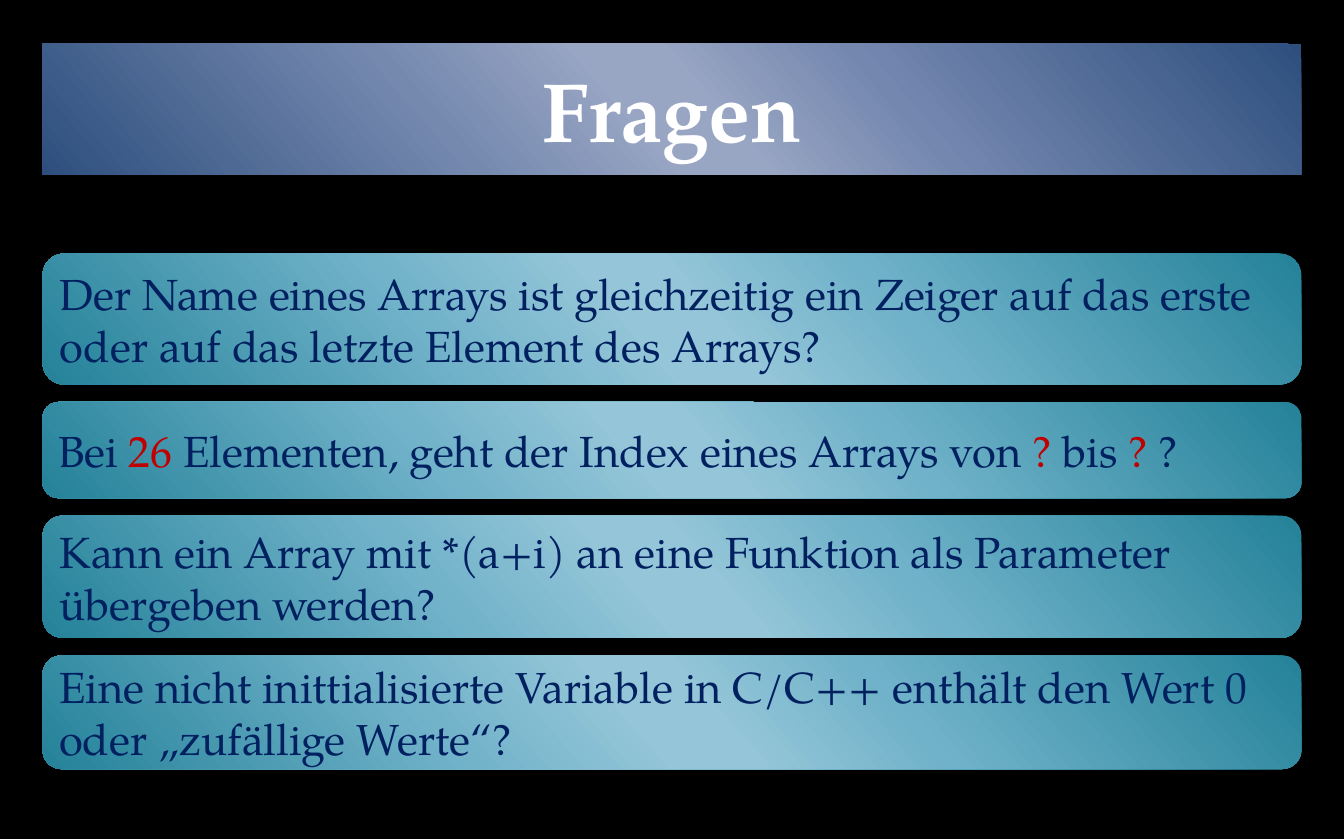
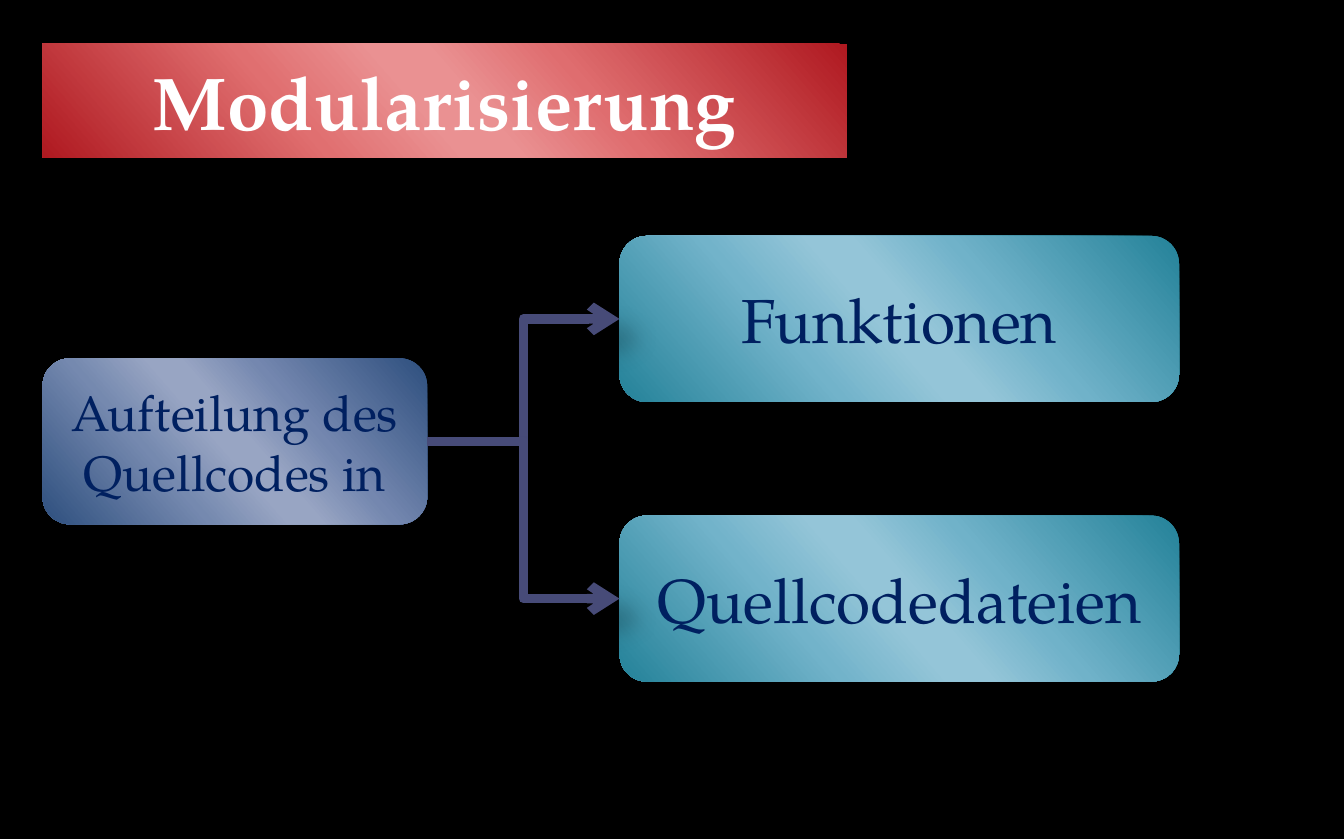
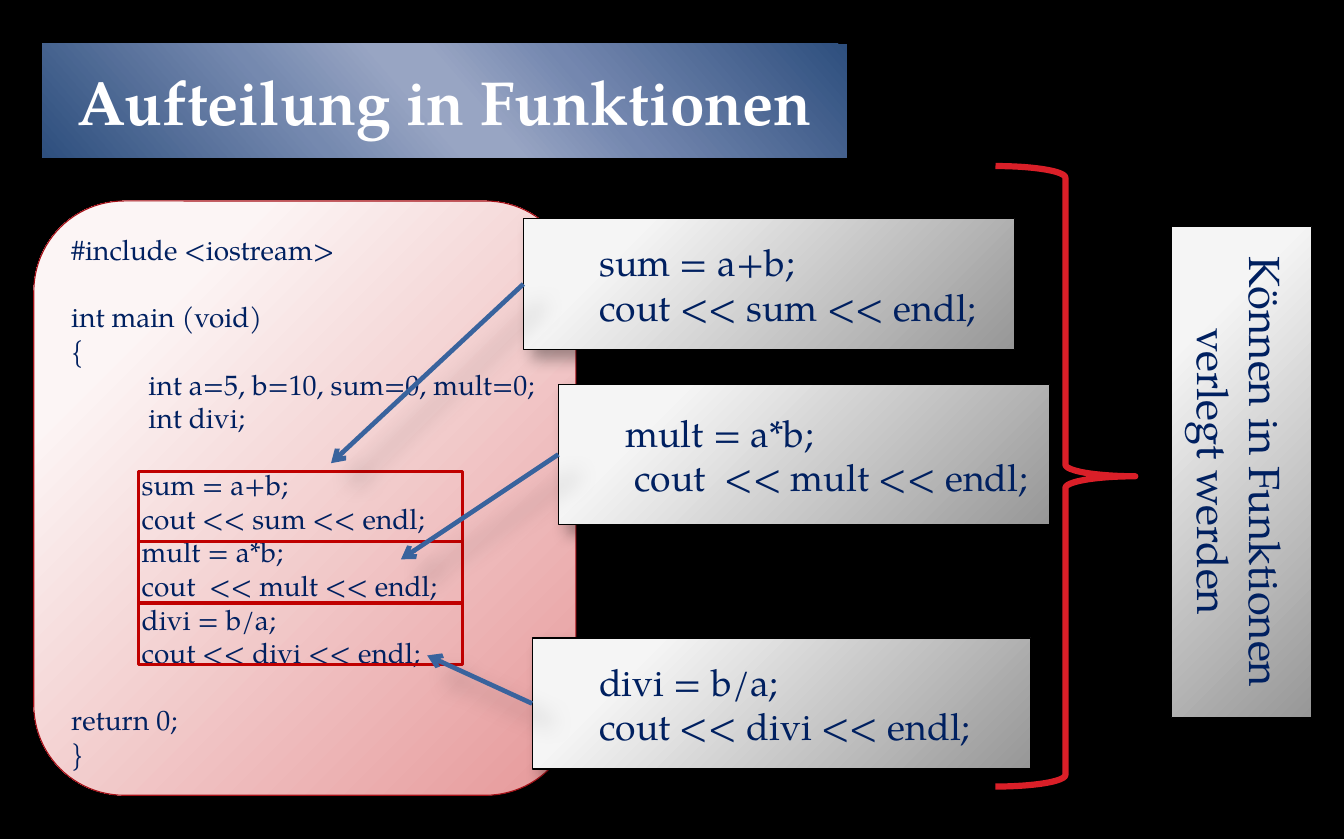
import dataclasses
import typing

import lxml.etree
import pptx
import pptx.dml.color
import pptx.enum.shapes
import pptx.enum.text
import pptx.oxml.ns
import pptx.util

qn = pptx.oxml.ns.qn
SHAPE = pptx.enum.shapes.MSO_SHAPE
CONNECTOR = pptx.enum.shapes.MSO_CONNECTOR
ANCHOR = pptx.enum.text.MSO_ANCHOR
ALIGN = pptx.enum.text.PP_ALIGN

WIDTH, HEIGHT, MARGIN = 12.01, 7.5, 0.38
ROWS = 96
CELL = HEIGHT / ROWS
LEFT_SITE, RIGHT_SITE = 1, 3


@dataclasses.dataclass(frozen=True)
class Gradient:
    stops: tuple[tuple[int, str], ...]
    angle: typing.Optional[int] = None


@dataclasses.dataclass(frozen=True)
class Shadow:
    opacity: int
    blur: float
    distance: float
    direction: int = 45


def glossy(edge: str, rise: str, shine: str, fall: str) -> Gradient:
    return Gradient(((0, edge), (33, rise), (47, shine), (53, shine), (68, fall), (100, edge)), 139)


def glow(light: str, dark: str) -> Gradient:
    return Gradient(((20, light), (100, dark)))


@dataclasses.dataclass(frozen=True)
class Theme:
    font: str = "TeX Gyre Pagella"
    backdrop: str = "000000"
    heading: str = "FFFFFF"
    ink: str = "002060"
    accent: str = "C00000"
    brace: str = "DA1F28"
    code_edge: str = "A51017"
    callout_edge: str = "000000"
    branch: str = "474B78"
    pointer: str = "39639D"
    blue: Gradient = glossy("2E4F7E", "7487AF", "98A5C3", "7589AF")
    teal: Gradient = glossy("248299", "70B2C9", "94C5D8", "72B3CA")
    red: Gradient = glossy("AF1920", "DF6D6F", "EA9192", "E06F70")
    rose: Gradient = glow("FCF5F5", "E69899")
    silver: Gradient = glow("F5F5F5", "979797")
    deep: Shadow = Shadow(26, 15, 18)
    near: Shadow = Shadow(35, 10.2, 8)
    code: int = 18
    callout: int = 24
    body: int = 28
    root: int = 32
    large: int = 40
    title: int = 48
    display: int = 54


THEME = Theme()


@dataclasses.dataclass(frozen=True)
class Area:
    col: float
    row: float
    cols: float
    rows: float

    def box(self) -> tuple[int, int, int, int]:
        return across(self.col), down(self.row), cells(self.cols), cells(self.rows)


@dataclasses.dataclass(frozen=True)
class Line:
    phrases: tuple[str, ...]
    indent: float = 0
    gap: float = 0


@dataclasses.dataclass(frozen=True)
class Panel:
    area: Area
    lines: tuple[Line, ...]
    size: int
    fill: Gradient
    shadow: Shadow = THEME.deep
    kind: typing.Any = SHAPE.ROUNDED_RECTANGLE
    edge: typing.Optional[str] = None
    align: typing.Any = ALIGN.LEFT
    anchor: typing.Any = ANCHOR.MIDDLE
    rotation: int = 0


@dataclasses.dataclass(frozen=True)
class Callout:
    area: Area
    lines: tuple[Line, ...]
    target: tuple[float, float]


def cells(count: float) -> int:
    return pptx.util.Inches(count * CELL)


def across(col: float) -> int:
    return pptx.util.Inches(MARGIN + col * CELL)


def down(row: float) -> int:
    return cells(row)


def rgb(value: str) -> pptx.dml.color.RGBColor:
    return pptx.dml.color.RGBColor.from_string(value)


def node(parent: typing.Any, tag: str, **attributes: typing.Any) -> typing.Any:
    return lxml.etree.SubElement(parent, qn(f"a:{tag}"), {k: str(v) for k, v in attributes.items()})


def paint(shape: typing.Any, gradient: Gradient) -> None:
    shape.fill.gradient()
    grad = shape._element.spPr.find(qn("a:gradFill"))
    for child in list(grad):
        grad.remove(child)
    stops = node(grad, "gsLst")
    for position, color in gradient.stops:
        node(node(stops, "gs", pos=position * 1000), "srgbClr", val=color)
    if gradient.angle is not None:
        node(grad, "lin", ang=gradient.angle * 60000, scaled=0)
    else:
        node(node(grad, "path", path="circle"), "fillToRect", l=-15000, t=-15000, r=115000, b=115000)


def outline(shape: typing.Any, color: typing.Optional[str], width: float) -> None:
    if color is None:
        shape.line.fill.background()
    else:
        shape.line.color.rgb = rgb(color)
        shape.line.width = pptx.util.Pt(width)


def cast(shape: typing.Any, shadow: Shadow) -> None:
    outer = node(node(shape._element.spPr, "effectLst"), "outerShdw",
                 blurRad=pptx.util.Pt(shadow.blur), dist=pptx.util.Pt(shadow.distance),
                 dir=shadow.direction * 60000, algn="tl", rotWithShape=0)
    node(node(outer, "srgbClr", val=THEME.backdrop), "alpha", val=shadow.opacity * 1000)


def style(run: typing.Any, size: int, color: str, bold: bool = False) -> None:
    run.font.name = THEME.font
    run.font.size = pptx.util.Pt(size)
    run.font.bold = bold
    run.font.color.rgb = rgb(color)


def write(shape: typing.Any, panel: Panel) -> None:
    frame = shape.text_frame
    frame.word_wrap = True
    frame.vertical_anchor = panel.anchor
    frame.text = "\n".join(line.phrases[0] for line in panel.lines)
    for paragraph, line in zip(frame.paragraphs, panel.lines):
        paragraph.alignment = panel.align
        paragraph.space_before = pptx.util.Pt(line.gap * panel.size * 1.2)
        properties = paragraph._p.get_or_add_pPr()
        properties.set("marL", str(pptx.util.Inches(line.indent)))
        properties.set("indent", "0")
        for phrase in line.phrases[1:]:
            paragraph.add_run().text = phrase
        for index, run in enumerate(paragraph.runs):
            style(run, panel.size, THEME.accent if index % 2 else THEME.ink)


def add_panel(slide: typing.Any, panel: Panel) -> typing.Any:
    shape = slide.shapes.add_shape(panel.kind, *panel.area.box())
    shape.rotation = panel.rotation
    paint(shape, panel.fill)
    outline(shape, panel.edge, 0.75)
    cast(shape, panel.shadow)
    write(shape, panel)
    return shape


def add_outline(slide: typing.Any, kind: typing.Any, area: Area, color: str, width: float) -> typing.Any:
    shape = slide.shapes.add_shape(kind, *area.box())
    shape.fill.background()
    outline(shape, color, width)
    return shape


def add_arrow(slide: typing.Any, kind: typing.Any, source: typing.Any, site: int,
              color: str, width: float, end: tuple[int, int]) -> typing.Any:
    arrow = slide.shapes.add_connector(kind, 0, 0, *end)
    arrow.begin_connect(source, site)
    outline(arrow, color, width)
    node(arrow.line._get_or_add_ln(), "tailEnd", type="arrow")
    cast(arrow, THEME.deep)
    return arrow


def add_titled_slide(deck: typing.Any, text: str, size: int, area: Area, fill: Gradient) -> typing.Any:
    slide = deck.slides.add_slide(deck.slide_layouts[5])
    title = slide.shapes.title
    title.left, title.top, title.width, title.height = area.box()
    node(node(title._element.spPr, "prstGeom", prst="roundRect"), "avLst")
    paint(title, fill)
    cast(title, THEME.deep)
    frame = title.text_frame
    frame.text = text
    frame.word_wrap = True
    frame.auto_size = pptx.enum.text.MSO_AUTO_SIZE.NONE
    frame.vertical_anchor = ANCHOR.MIDDLE
    frame.paragraphs[0].alignment = ALIGN.CENTER
    style(frame.paragraphs[0].runs[0], size, THEME.heading, True)
    return slide


WIDE_TITLE = Area(0, 5, 144, 15)
SHORT_TITLE = Area(0, 5, 92, 13)


def build_questions(deck: typing.Any) -> None:
    slide = add_titled_slide(deck, "Fragen", THEME.display, WIDE_TITLE, THEME.blue)
    questions = (
        (15, ("Der Name eines Arrays ist gleichzeitig ein Zeiger auf das erste oder auf das letzte "
              "Element des Arrays?",)),
        (11, ("Bei ", "26", " Elementen, geht der Index eines Arrays von ", "?", " bis ", "?", " ?")),
        (14, ("Kann ein Array mit *(a+i) an eine Funktion als Parameter übergeben werden?",)),
        (13, ("Eine nicht inittialisierte Variable in C/C++ enthält den Wert 0 oder "
              "„zufällige Werte“?",)),
    )
    row, gap = 29, 2
    for rows, phrases in questions:
        add_panel(slide, Panel(Area(0, row, 144, rows), (Line(phrases),), THEME.body, THEME.teal))
        row += rows + gap


def build_modules(deck: typing.Any) -> None:
    slide = add_titled_slide(deck, "Modularisierung", THEME.title, SHORT_TITLE, THEME.red)
    source = add_panel(slide, Panel(Area(0, 41, 44, 19), (Line(("Aufteilung des Quellcodes in",)),),
                                    THEME.root, THEME.blue, align=ALIGN.CENTER))
    for row, text in ((27, "Funktionen"), (59, "Quellcodedateien")):
        area = Area(66, row, 64, 19)
        division = add_panel(slide, Panel(area, (Line((text,)),), THEME.large, THEME.teal,
                                          align=ALIGN.CENTER))
        branch = add_arrow(slide, CONNECTOR.ELBOW, source, RIGHT_SITE, THEME.branch, 6,
                           (across(area.col), down(area.row + area.rows / 2)))
        branch.end_connect(division, LEFT_SITE)


def build_functions(deck: typing.Any) -> None:
    slide = add_titled_slide(deck, "Aufteilung in Funktionen", THEME.large, SHORT_TITLE, THEME.blue)
    declared, computed = 0.69, 0.63
    program = (
        Line(("#include <iostream>",)),
        Line(("int main (void)",), gap=1),
        Line(("{",)),
        Line(("int a=5, b=10, sum=0, mult=0;",), declared),
        Line(("int divi;",), declared),
        Line(("sum = a+b;",), computed, 1),
        Line(("cout << sum << endl;",), computed),
        Line(("mult = a*b;",), computed),
        Line(("cout  << mult << endl;",), computed),
        Line(("divi = b/a;",), computed),
        Line(("cout << divi << endl;",), computed),
        Line(("return 0;",), gap=1),
        Line(("}",)),
    )
    add_panel(slide, Panel(Area(-1, 23, 62, 68), program, THEME.code, THEME.rose, THEME.near,
                           edge=THEME.code_edge, anchor=ANCHOR.TOP))
    row = 54
    for rows in (8, 7, 7):
        mark = add_outline(slide, SHAPE.RECTANGLE, Area(11, row, 37, rows), THEME.accent, 2)
        mark.shadow.inherit = False
        row += rows

    callouts = (
        Callout(Area(55, 25, 56.2, 15),
                (Line(("sum = a+b;",), 0.58), Line(("cout << sum << endl;",), 0.58)), (33, 53)),
        Callout(Area(59, 44, 56.2, 16),
                (Line(("mult = a*b;",), 0.5), Line(("cout  << mult << endl;",), 0.58)), (41, 64)),
        Callout(Area(56, 73, 57, 15),
                (Line(("divi = b/a;",), 0.5), Line(("cout << divi << endl;",), 0.5)), (44, 75)),
    )
    for callout in callouts:
        snippet = add_panel(slide, Panel(callout.area, callout.lines, THEME.callout, THEME.silver,
                                         THEME.near, SHAPE.RECTANGLE, THEME.callout_edge))
        col, row = callout.target
        add_arrow(slide, CONNECTOR.STRAIGHT, snippet, LEFT_SITE, THEME.pointer, 3,
                  (across(col), down(row)))

    brace = add_outline(slide, SHAPE.RIGHT_BRACE, Area(109, 19, 16, 71), THEME.brace, 4)
    cast(brace, THEME.deep)
    add_panel(slide, Panel(Area(109, 46, 56.2, 16), (Line(("Können in Funktionen verlegt werden",)),),
                           THEME.body, THEME.silver, THEME.near, SHAPE.RECTANGLE,
                           THEME.callout_edge, ALIGN.CENTER, rotation=90))


def main() -> None:
    deck = pptx.Presentation()
    deck.slide_width = pptx.util.Inches(WIDTH)
    deck.slide_height = pptx.util.Inches(HEIGHT)
    backdrop = deck.slide_master.background.fill
    backdrop.solid()
    backdrop.fore_color.rgb = rgb(THEME.backdrop)
    for build in (build_questions, build_modules, build_functions):
        build(deck)
    deck.save("out.pptx")


main()
